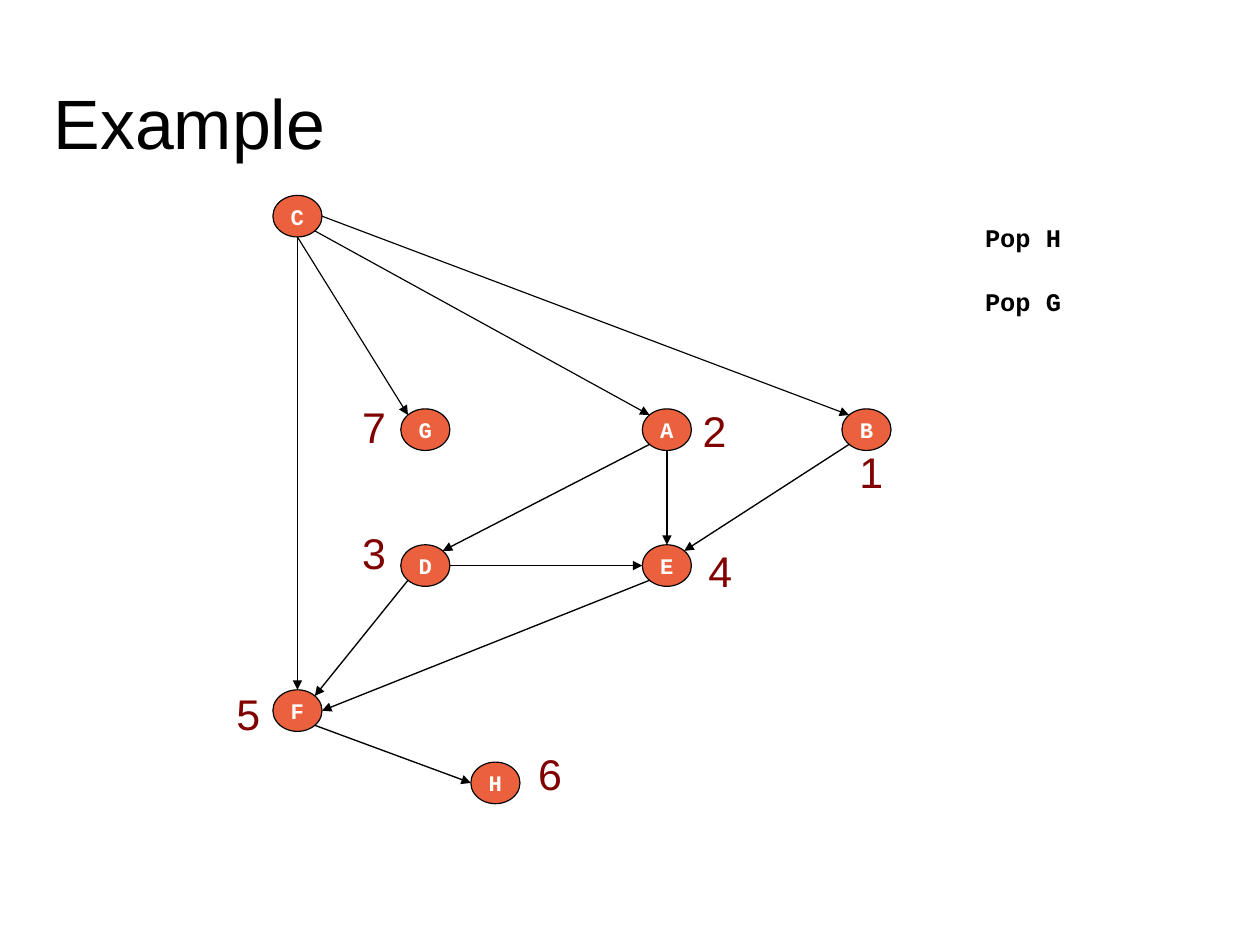
import math
from dataclasses import dataclass
from enum import Enum

import lxml.etree
import pptx
import pptx.dml.color
import pptx.enum.shapes
import pptx.enum.text
import pptx.oxml.ns
import pptx.slide
import pptx.text.text
import pptx.util

WIDTH = pptx.util.Cm(28)
HEIGHT = pptx.util.Cm(21)
COLUMN = WIDTH / 100
ROW = HEIGHT / 100
NODE_WIDTH = 3.9
NODE_HEIGHT = 4.4

ORANGE = pptx.dml.color.RGBColor(0xEB, 0x61, 0x3D)
MAROON = pptx.dml.color.RGBColor(0x80, 0x00, 0x00)
BLACK = pptx.dml.color.RGBColor(0x00, 0x00, 0x00)
WHITE = pptx.dml.color.RGBColor(0xFF, 0xFF, 0xFF)


class Side(Enum):
    RIGHT = 0
    BOTTOM_RIGHT = 45
    BOTTOM = 90
    BOTTOM_LEFT = 135
    LEFT = 180
    TOP_LEFT = 225
    TOP = 270
    TOP_RIGHT = 315


@dataclass(frozen=True)
class Node:
    column: float
    row: float

    def point(self, side: Side) -> tuple[int, int]:
        angle = math.radians(side.value)
        column = self.column + NODE_WIDTH / 2 * (1 + math.cos(angle))
        row = self.row + NODE_HEIGHT / 2 * (1 + math.sin(angle))
        return round(column * COLUMN), round(row * ROW)


@dataclass(frozen=True)
class Edge:
    start: str
    start_side: Side
    end: str
    end_side: Side
    weight: float = 0.85


@dataclass(frozen=True)
class Label:
    text: str
    column: float
    row: float


@dataclass(frozen=True)
class TextStyle:
    font: str
    size: int
    color: pptx.dml.color.RGBColor
    bold: bool = False


@dataclass(frozen=True)
class LabelStyle:
    text: TextStyle
    width: float
    height: float
    wrap: bool
    spacing: float


TITLE_STYLE = TextStyle("Arial", 44, BLACK)
NODE_STYLE = TextStyle("Courier New", 14, WHITE, True)
RANK_STYLE = LabelStyle(TextStyle("Arial", 27, MAROON), 4.08, 6.77, True, 1.0)
STEP_STYLE = LabelStyle(TextStyle("Courier New", 16, BLACK, True), 7.89, 5.08, False, 1.2)

NODES = {
    "C": Node(21.66, 20.68),
    "G": Node(31.81, 43.27),
    "A": Node(50.98, 43.27),
    "B": Node(66.82, 43.27),
    "D": Node(31.81, 57.65),
    "E": Node(50.98, 57.65),
    "F": Node(21.66, 73),
    "H": Node(37.37, 80.65),
}
EDGES = [
    Edge("C", Side.BOTTOM, "F", Side.TOP, 0.75),
    Edge("C", Side.BOTTOM, "G", Side.TOP_LEFT, 0.75),
    Edge("C", Side.BOTTOM_RIGHT, "A", Side.TOP_LEFT, 0.75),
    Edge("C", Side.RIGHT, "B", Side.TOP_LEFT, 0.75),
    Edge("A", Side.BOTTOM_LEFT, "D", Side.TOP_RIGHT),
    Edge("A", Side.BOTTOM, "E", Side.TOP),
    Edge("B", Side.BOTTOM_LEFT, "E", Side.TOP_RIGHT),
    Edge("D", Side.RIGHT, "E", Side.LEFT),
    Edge("D", Side.BOTTOM_LEFT, "F", Side.TOP_RIGHT),
    Edge("E", Side.BOTTOM_LEFT, "F", Side.RIGHT),
    Edge("F", Side.BOTTOM_RIGHT, "H", Side.LEFT),
]
RANKS = [
    Label("1", 67.31, 46.55),
    Label("2", 54.88, 42.2),
    Label("3", 27.85, 55.14),
    Label("4", 55.34, 57.07),
    Label("5", 17.86, 72.19),
    Label("6", 41.81, 78.48),
    Label("7", 27.85, 41.84),
]
STEPS = [Label("Pop H", 77.29, 22.25), Label("Pop G", 77.29, 29.02)]


def grid_box(column: float, row: float, width: float, height: float) -> tuple[int, int, int, int]:
    return round(column * COLUMN), round(row * ROW), round(width * COLUMN), round(height * ROW)


def write(paragraph: pptx.text.text._Paragraph, text: str, style: TextStyle) -> None:
    run = paragraph.add_run()
    run.text = text
    run.font.name = style.font
    run.font.size = pptx.util.Pt(style.size)
    run.font.bold = style.bold
    run.font.color.rgb = style.color


def draw_title(slide: pptx.slide.Slide, text: str) -> None:
    title = slide.shapes.title
    title.left, title.top, title.width, title.height = grid_box(4.26, 8.59, 70.05, 8.59)
    frame = title.text_frame
    frame.margin_left = frame.margin_right = frame.margin_top = frame.margin_bottom = 0
    frame.vertical_anchor = pptx.enum.text.MSO_ANCHOR.MIDDLE
    paragraph = frame.paragraphs[0]
    paragraph.alignment = pptx.enum.text.PP_ALIGN.LEFT
    write(paragraph, text, TITLE_STYLE)


def draw_node(slide: pptx.slide.Slide, name: str, node: Node) -> None:
    shape = slide.shapes.add_shape(
        pptx.enum.shapes.MSO_SHAPE.OVAL,
        *grid_box(node.column, node.row, NODE_WIDTH, NODE_HEIGHT),
    )
    shape.shadow.inherit = False
    shape.fill.solid()
    shape.fill.fore_color.rgb = ORANGE
    shape.line.color.rgb = BLACK
    shape.line.width = pptx.util.Pt(0.75)
    frame = shape.text_frame
    frame.word_wrap = False
    frame.vertical_anchor = pptx.enum.text.MSO_ANCHOR.MIDDLE
    paragraph = frame.paragraphs[0]
    paragraph.alignment = pptx.enum.text.PP_ALIGN.CENTER
    write(paragraph, name, NODE_STYLE)


def draw_edge(slide: pptx.slide.Slide, edge: Edge) -> None:
    connector = slide.shapes.add_connector(
        pptx.enum.shapes.MSO_CONNECTOR.STRAIGHT,
        *NODES[edge.start].point(edge.start_side),
        *NODES[edge.end].point(edge.end_side),
    )
    connector.line.color.rgb = BLACK
    connector.line.width = pptx.util.Pt(edge.weight)
    line = connector.line._get_or_add_ln()
    lxml.etree.SubElement(line, pptx.oxml.ns.qn("a:tailEnd"), type="triangle")
    lxml.etree.SubElement(connector._element.spPr, pptx.oxml.ns.qn("a:effectLst"))


def draw_label(slide: pptx.slide.Slide, label: Label, style: LabelStyle) -> None:
    box = slide.shapes.add_textbox(*grid_box(label.column, label.row, style.width, style.height))
    box.text_frame.word_wrap = style.wrap
    paragraph = box.text_frame.paragraphs[0]
    paragraph.line_spacing = style.spacing
    write(paragraph, label.text, style.text)


def main() -> None:
    presentation = pptx.Presentation()
    presentation.slide_width = WIDTH
    presentation.slide_height = HEIGHT
    slide = presentation.slides.add_slide(presentation.slide_layouts.get_by_name("Title Only"))
    draw_title(slide, "Example")
    for name, node in NODES.items():
        draw_node(slide, name, node)
    for edge in EDGES:
        draw_edge(slide, edge)
    for labels, style in ((RANKS, RANK_STYLE), (STEPS, STEP_STYLE)):
        for label in labels:
            draw_label(slide, label, style)
    presentation.save("out.pptx")


if __name__ == "__main__":
    main()
